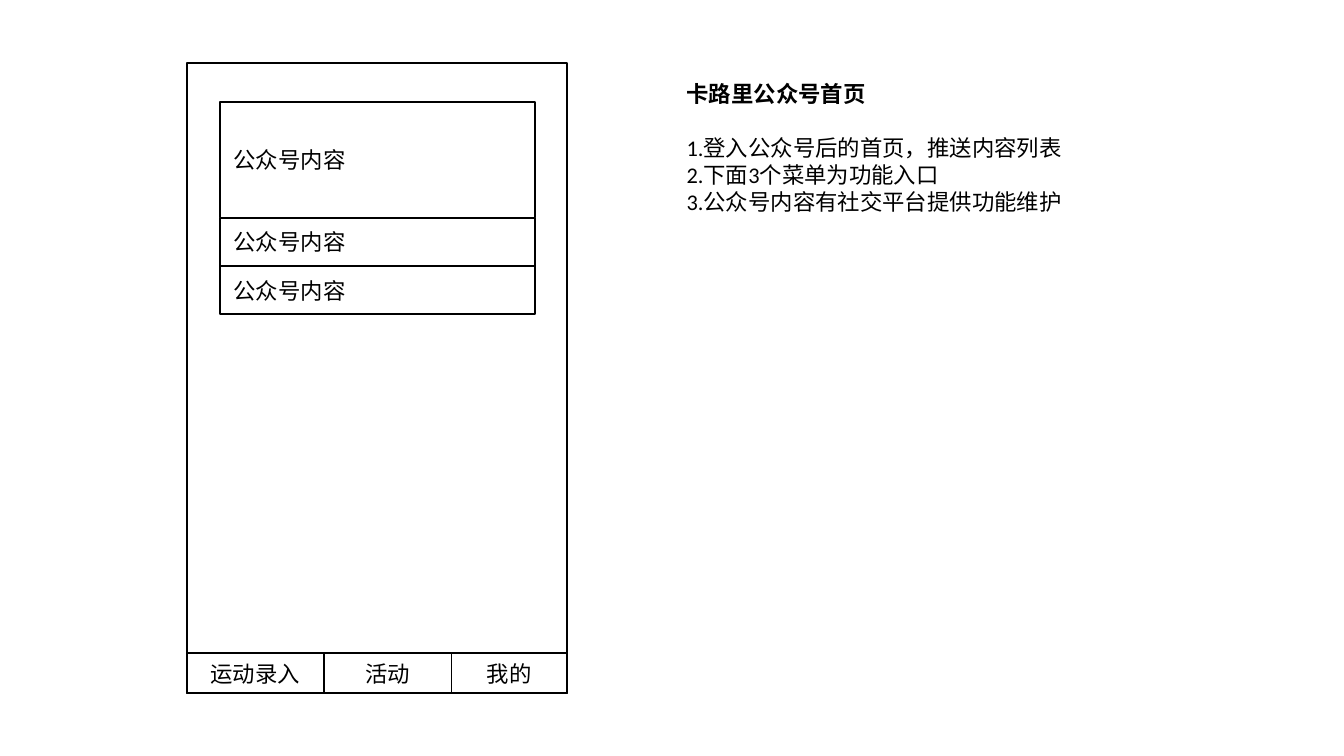
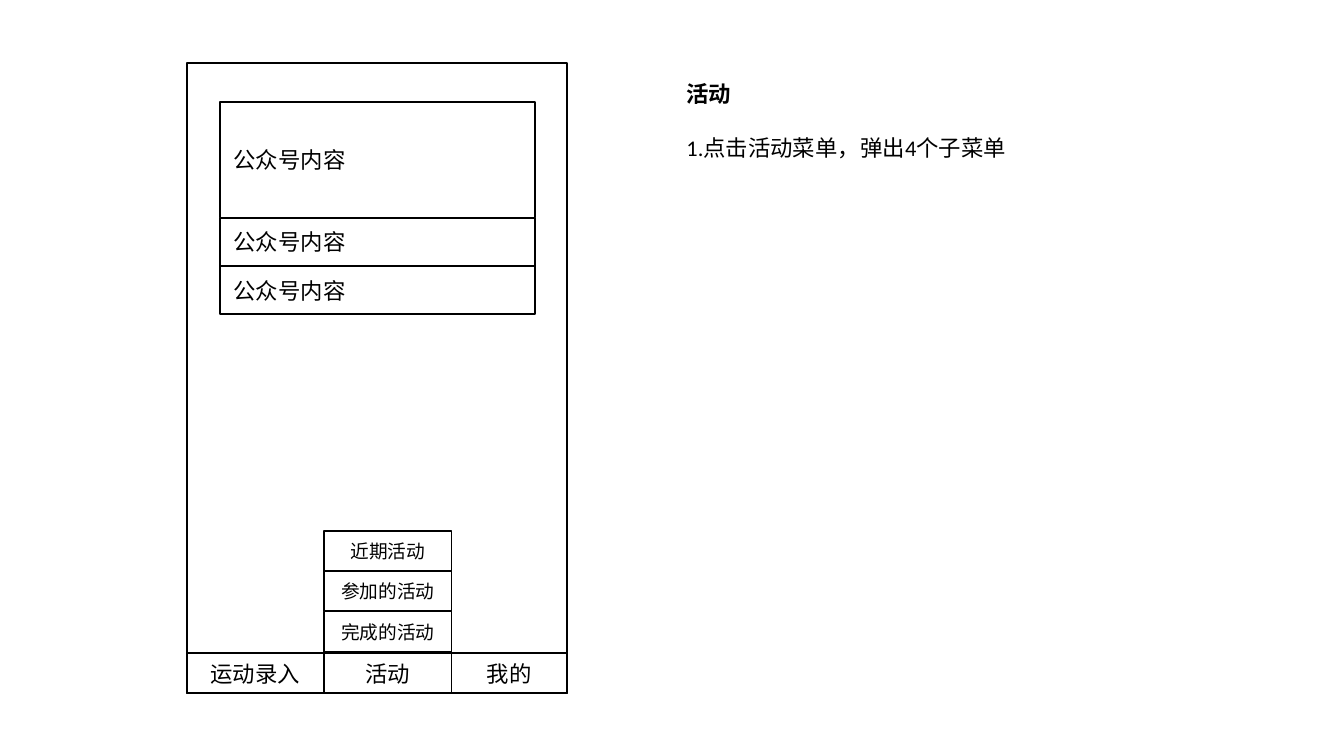
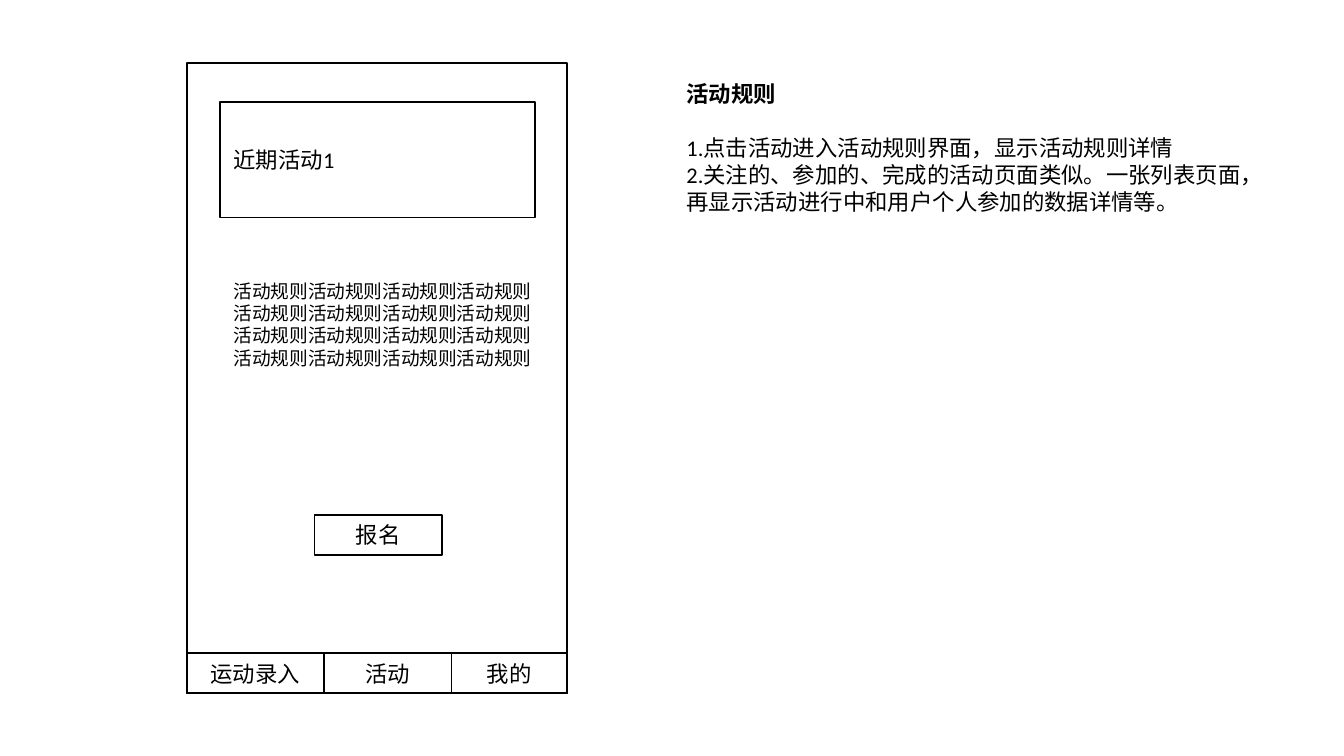
"""Build three wireframe slides for a fitness account: home, activity menu, activity rules."""
from pptx import Presentation
from pptx.dml.color import RGBColor
from pptx.enum.shapes import MSO_SHAPE
from pptx.enum.text import MSO_ANCHOR, MSO_AUTO_SIZE, PP_ALIGN
from pptx.util import Inches, Pt

RECTANGLE = MSO_SHAPE.RECTANGLE
TOP, MIDDLE = MSO_ANCHOR.TOP, MSO_ANCHOR.MIDDLE
LEFT, CENTER = PP_ALIGN.LEFT, PP_ALIGN.CENTER
NO_AUTOFIT, GROW = MSO_AUTO_SIZE.NONE, MSO_AUTO_SIZE.SHAPE_TO_FIT_TEXT

COLORS = {"ink": "000000"}
INK = RGBColor.from_string(COLORS["ink"])
BLANK = 6
CARD_LEFT, CARD_WIDTH = 1.64, 2.34
TAB_TOP, BUTTON_HEIGHT = 4.86, 0.3
TAB_EDGES = [1.39, 2.41, 3.36, 4.22]
TABS = ["运动录入", "活动", "我的"]
ACCOUNT_CARDS = [("公众号内容", 0.76, 0.86), ("公众号内容", 1.62, 0.36), ("公众号内容", 1.98, 0.36)]

SCREENS = [
    {
        "heading": "卡路里公众号首页", "note_size": (3.05, 1.11), "cards": ACCOUNT_CARDS,
        "notes": ["1.登入公众号后的首页，推送内容列表", "2.下面3个菜单为功能入口",
                  "3.公众号内容有社交平台提供功能维护"],
    },
    {
        "heading": "活动", "note_size": (2.6, 0.71), "cards": ACCOUNT_CARDS,
        "notes": ["1.点击活动菜单，弹出4个子菜单"],
    },
    {
        "heading": "活动规则", "note_size": (4.54, 1.11), "cards": [("近期活动1", 0.76, 0.86)],
        "notes": ["1.点击活动进入活动规则界面，显示活动规则详情",
                  "2.关注的、参加的、完成的活动页面类似。一张列表页面，",
                  "再显示活动进行中和用户个人参加的数据详情等。"],
    },
]


def write(shape, lines, size=12, align=LEFT, anchor=TOP, fit=GROW):
    frame = shape.text_frame
    frame_format = {"word_wrap": True, "auto_size": fit, "vertical_anchor": anchor}
    for name, value in frame_format.items():
        setattr(frame, name, value)
    frame.text = "\n".join(lines)
    font_format = {"name": "Calibri", "size": Pt(size), "bold": False}
    for paragraph in frame.paragraphs:
        paragraph.alignment = align
        for run in paragraph.runs:
            for name, value in font_format.items():
                setattr(run.font, name, value)
            run.font.color.rgb = INK


def add_box(slide, left, top, width, height, label="", size=12, align=CENTER):
    box = slide.shapes.add_shape(RECTANGLE, Inches(left), Inches(top), Inches(width), Inches(height))
    box.shadow.inherit = False
    box.fill.background()
    box.line.color.rgb = INK
    box.line.width = Pt(1)
    if label:
        write(box, [label], size, align, MIDDLE, NO_AUTOFIT)


deck = Presentation()
deck.slide_width, deck.slide_height = Inches(10), Inches(5.625)

slides = []
for screen in SCREENS:
    slide = deck.slides.add_slide(deck.slide_layouts[BLANK])
    slides.append(slide)

    add_box(slide, TAB_EDGES[0], 0.47, TAB_EDGES[-1] - TAB_EDGES[0], 4.69)
    for label, left, right in zip(TABS, TAB_EDGES, TAB_EDGES[1:]):
        add_box(slide, left, TAB_TOP, right - left, BUTTON_HEIGHT, label)
    for label, top, height in screen["cards"]:
        add_box(slide, CARD_LEFT, top, CARD_WIDTH, height, label, align=LEFT)

    width, height = screen["note_size"]
    explanation = slide.shapes.add_textbox(Inches(5.01), Inches(0.55), Inches(width), Inches(height))
    write(explanation, [screen["heading"], *screen["notes"]])
    heading = explanation.text_frame.paragraphs[0]
    heading.space_after = Pt(14.5)
    heading.runs[0].font.bold = True

home, activity_menu, activity_rules = slides

for row, label in enumerate(["近期活动", "参加的活动", "完成的活动"]):
    add_box(activity_menu, TAB_EDGES[1], 3.95 + row * BUTTON_HEIGHT, 0.95, BUTTON_HEIGHT, label, size=10)

rules = activity_rules.shapes.add_textbox(Inches(CARD_LEFT), Inches(2.03), Inches(2.5), Inches(0.77))
write(rules, ["活动规则" * 16], size=10)
add_box(activity_rules, 2.34, 3.83, 0.95, BUTTON_HEIGHT, "报名")

deck.save("out.pptx")
